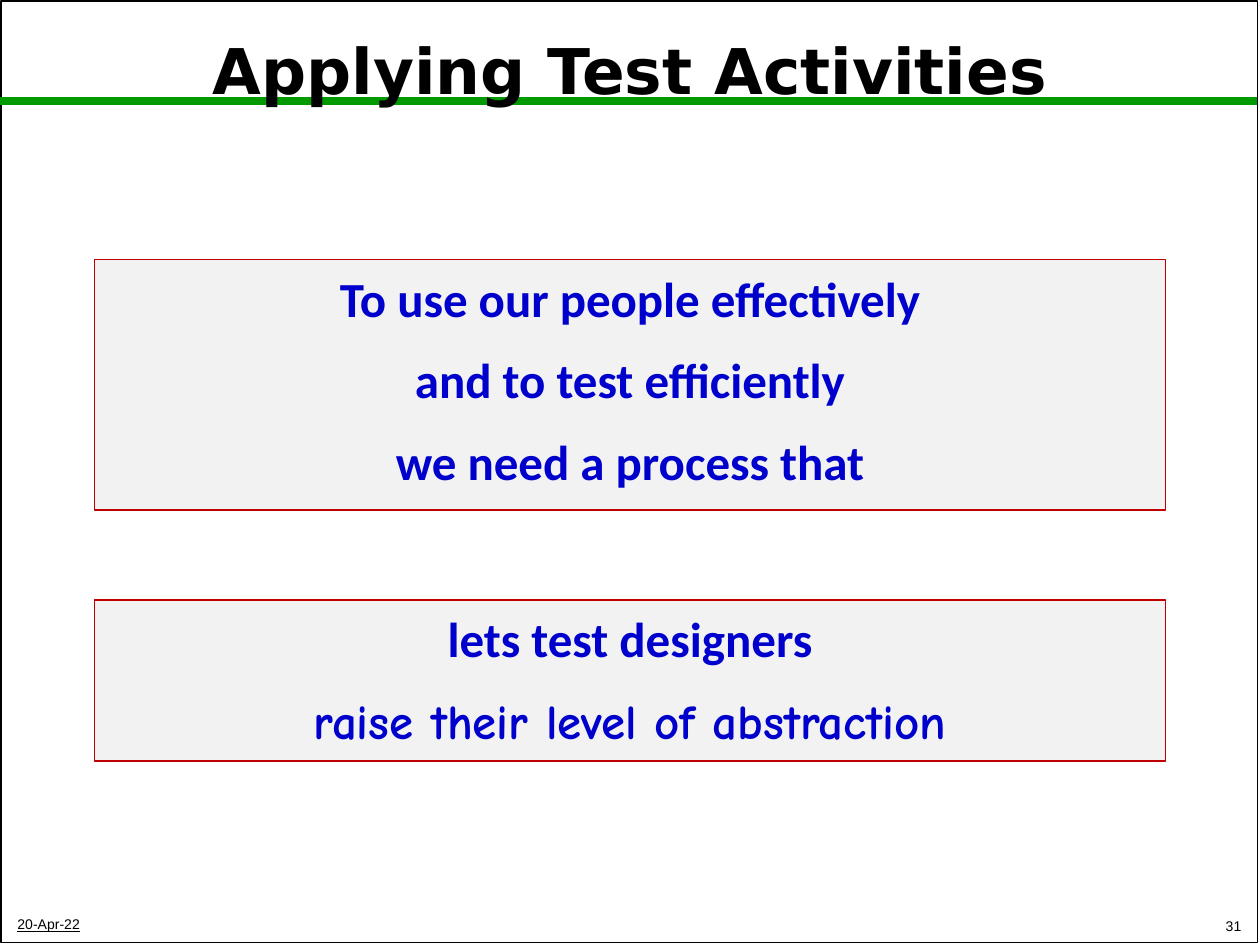
import dataclasses

import lxml.etree
import pptx
import pptx.dml.color
import pptx.enum.shapes
import pptx.enum.text
import pptx.oxml.ns
import pptx.util

Inches = pptx.util.Inches
Pt = pptx.util.Pt
ALIGN = pptx.enum.text.PP_ALIGN
ANCHOR = pptx.enum.text.MSO_ANCHOR


@dataclasses.dataclass(frozen=True)
class Theme:
    """Colours, fonts and type sizes of the slide."""
    black: str = "000000"
    green: str = "009900"
    blue: str = "0000CC"
    red: str = "C00000"
    grey: str = "F2F2F2"
    title_font: str = "DejaVu Sans"
    body_font: str = "Calibri"
    accent_font: str = "Comic Neue"
    footer_font: str = "Arial"
    title_size: int = 36
    body_size: int = 28
    footer_size: int = 8


THEME = Theme()


def rgb(value):
    """Return a colour from its hex value."""
    return pptx.dml.color.RGBColor.from_string(value)


def write(p, text, font, size, color=THEME.black, bold=False, underline=False,
          align=ALIGN.LEFT, before=0, spacing=1.0):
    """Write one formatted run into a paragraph."""
    p.alignment = align
    p.space_before = Pt(before)
    p.line_spacing = spacing
    r = p.add_run()
    r.text = text
    r.font.name = font
    r.font.size = Pt(size)
    r.font.bold = bold
    r.font.underline = underline
    r.font.color.rgb = rgb(color)


def add_box(s, box, line, fill=None):
    """Add a thinly outlined rectangle."""
    sp = s.shapes.add_shape(pptx.enum.shapes.MSO_SHAPE.RECTANGLE, *box)
    sp.shadow.inherit = False
    sp.line.color.rgb = rgb(line)
    sp.line.width = Pt(1)
    if fill:
        sp.fill.solid()
        sp.fill.fore_color.rgb = rgb(fill)
    else:
        sp.fill.background()
    return sp


def add_frame(s, box):
    """Add the slide border and the green rule across it."""
    left, top, width, height = box
    add_box(s, box, THEME.black)
    y = Inches(0.8)
    rule = s.shapes.add_connector(
        pptx.enum.shapes.MSO_CONNECTOR.STRAIGHT, 0, y, left + width, y)
    rule.line.color.rgb = rgb(THEME.green)
    rule.line.width = Pt(4.5)
    lxml.etree.SubElement(rule.element.spPr, pptx.oxml.ns.qn("a:effectLst"))


def add_title(s, box, text):
    """Place the title placeholder in front of the frame."""
    sp = s.shapes.title
    sp.left, sp.top, sp.width, sp.height = box
    sp.element.getparent().append(sp.element)
    tf = sp.text_frame
    tf.word_wrap = True
    tf.vertical_anchor = ANCHOR.MIDDLE
    write(tf.paragraphs[0], text, THEME.title_font, THEME.title_size,
          bold=True, align=ALIGN.CENTER, spacing=0.9)


def add_footer(s, box, text, **fmt):
    """Add a small text at the foot of the slide."""
    tf = s.shapes.add_textbox(*box).text_frame
    tf.word_wrap = True
    tf.vertical_anchor = ANCHOR.BOTTOM
    write(tf.paragraphs[0], text, THEME.footer_font, THEME.footer_size, **fmt)


def add_statement(s, box, lines):
    """Add a grey panel with one centred paragraph for each text and font."""
    tf = add_box(s, box, THEME.red, THEME.grey).text_frame
    tf.word_wrap = True
    tf.vertical_anchor = ANCHOR.TOP
    tf.margin_top = Inches(0.07)
    for i, (text, font) in enumerate(lines):
        p = tf.add_paragraph() if i else tf.paragraphs[0]
        write(p, text, font, THEME.body_size, color=THEME.blue, bold=True,
              align=ALIGN.CENTER, before=13 if i else 0)


def main():
    """Build the slide and save it."""
    prs = pptx.Presentation()
    prs.slide_width, prs.slide_height = Inches(10), Inches(7.5)
    s = prs.slides.add_slide(prs.slide_layouts[5])

    add_frame(s, [Inches(v) for v in (0.01, 0.01, 9.97, 7.47)])
    add_title(s, [Inches(v) for v in (0.05, 0.11, 9.9, 0.95)],
              "Applying Test Activities")
    add_footer(s, [Inches(v) for v in (0.04, 7.18, 4.2, 0.27)],
               "20-Apr-22", underline=True)
    add_footer(s, [Inches(v) for v in (7.87, 7.17, 2.08, 0.29)],
               "31", align=ALIGN.RIGHT)

    body = THEME.body_font
    statements = [
        (2.06, 1.99, [("To use our people effectively", body),
                      ("and to test efficiently", body),
                      ("we need a process that", body)]),
        (4.76, 1.28, [("lets test designers", body),
                      ("raise their level of abstraction", THEME.accent_font)]),
    ]
    for top, height, lines in statements:
        add_statement(s, [Inches(v) for v in (0.75, top, 8.5, height)], lines)

    prs.save("out.pptx")


if __name__ == "__main__":
    main()
